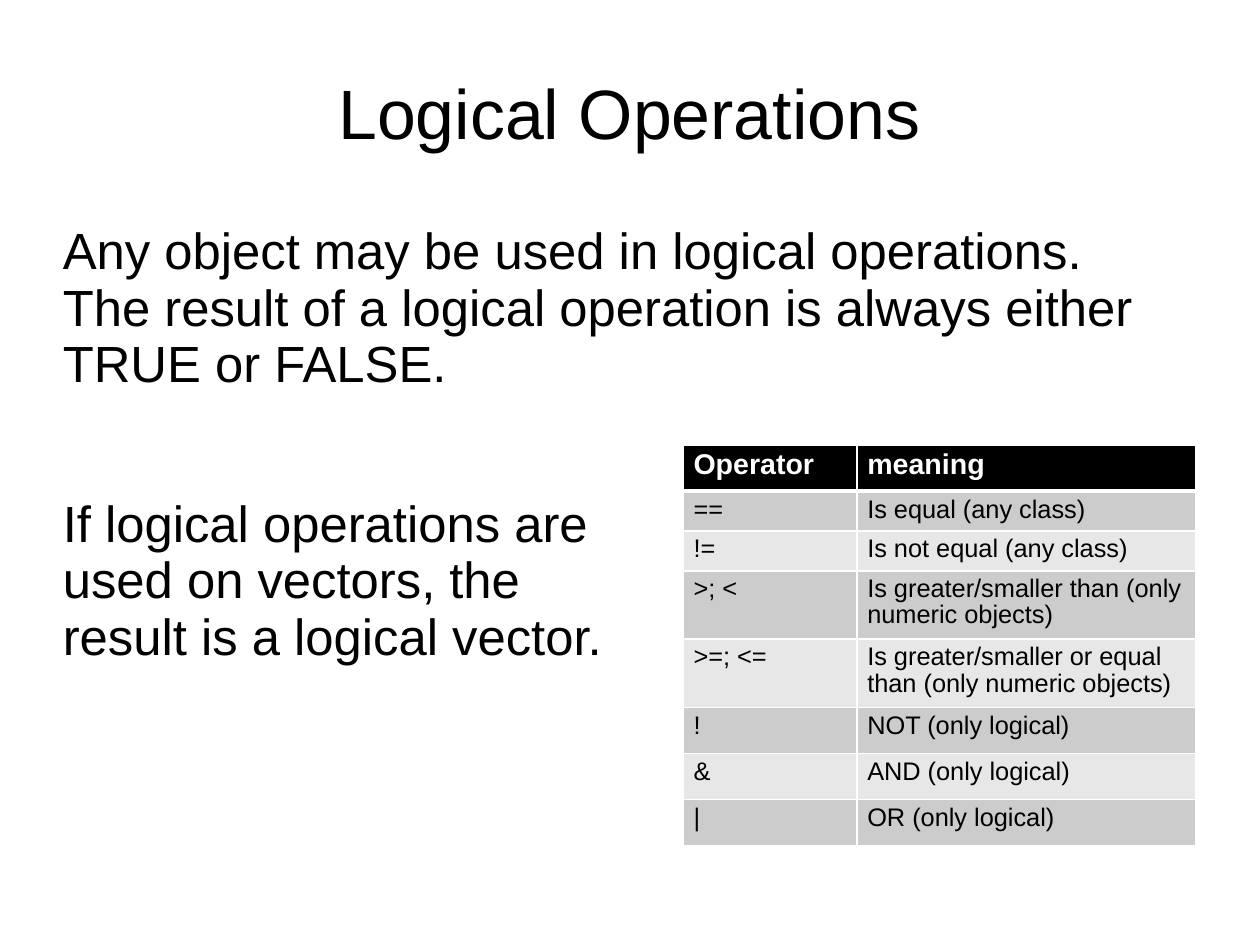
from dataclasses import dataclass

from lxml.etree import SubElement
from pptx import Presentation
from pptx.dml.color import RGBColor
from pptx.enum.text import MSO_ANCHOR, PP_ALIGN
from pptx.oxml.ns import qn
from pptx.util import Pt


@dataclass(frozen=True)
class Theme:
    font: str = "Arial"
    text: str = "000000"
    header_text: str = "FFFFFF"
    header_fill: str = "000000"
    band_fills: tuple = ("CCCCCC", "E7E7E7")
    border: str = "FFFFFF"
    title_size: int = 44
    body_size: int = 32
    header_size: int = 18
    cell_size: int = 16
    line_spacing: float = 0.93


class SlideBuilder:
    def __init__(self, page, theme):
        self.page = page
        self.theme = theme

    def style(self, text_frame, size, color, bold=False, align=PP_ALIGN.LEFT):
        for para in text_frame.paragraphs:
            para.alignment = align
            para.line_spacing = self.theme.line_spacing
            for span in para.runs:
                span.font.name = self.theme.font
                span.font.size = Pt(size)
                span.font.bold = bold
                span.font.color.rgb = RGBColor.from_string(color)

    def text(self, words, left, top, width, height, size,
             align=PP_ALIGN.LEFT, anchor=MSO_ANCHOR.TOP, inset_top=0):
        box = self.page.shapes.add_textbox(Pt(left), Pt(top), Pt(width), Pt(height))
        frame = box.text_frame
        frame.word_wrap = True
        frame.vertical_anchor = anchor
        frame.margin_left = frame.margin_right = frame.margin_bottom = 0
        frame.margin_top = Pt(inset_top)
        frame.text = words
        self.style(frame, size, self.theme.text, align=align)

    def border(self, cell, top, bottom):
        """Draw all four cell edges; top and bottom are widths in points."""
        properties = cell._tc.get_or_add_tcPr()
        for edge, width in (("L", 1), ("R", 1), ("T", top), ("B", bottom)):
            line = SubElement(properties, qn(f"a:ln{edge}"), w=str(Pt(width)))
            fill = SubElement(line, qn("a:solidFill"))
            SubElement(fill, qn("a:srgbClr"), val=self.theme.border)

    def table(self, rows, left, top, widths, heights):
        theme = self.theme
        table = self.page.shapes.add_table(
            len(rows), len(widths), Pt(left), Pt(top),
            Pt(sum(widths)), Pt(sum(heights))).table
        for column, width in zip(table.columns, widths):
            column.width = Pt(width)
        for index, (row, height, words) in enumerate(zip(table.rows, heights, rows)):
            row.height = Pt(height)
            header = index == 0
            fill = theme.header_fill if header else theme.band_fills[(index - 1) % 2]
            color = theme.header_text if header else theme.text
            size = theme.header_size if header else theme.cell_size
            for cell, word in zip(row.cells, words):
                cell.margin_left = cell.margin_right = Pt(6.5)
                cell.margin_top = cell.margin_bottom = Pt(3.6)
                self.border(cell, top=3 if index == 1 else 1, bottom=3 if header else 1)
                cell.fill.solid()
                cell.fill.fore_color.rgb = RGBColor.from_string(fill)
                cell.text_frame.text = word
                self.style(cell.text_frame, size, color, bold=header)


OPERATORS = [
    ("Operator", "meaning"),
    ("==", "Is equal (any class)"),
    ("!=", "Is not equal (any class)"),
    (">; <", "Is greater/smaller than (only numeric objects)"),
    (">=; <=", "Is greater/smaller or equal than (only numeric objects)"),
    ("!", "NOT (only logical)"),
    ("&", "AND (only logical)"),
    ("|", "OR (only logical)"),
]


def main():
    deck = Presentation()
    deck.slide_width, deck.slide_height = Pt(793.75), Pt(595.25)
    page = deck.slides.add_slide(deck.slide_layouts[6])
    theme = Theme()
    builder = SlideBuilder(page, theme)
    margin = 39.6

    builder.text("Logical Operations", margin, 23.6, 714.2, 99.2, theme.title_size,
                 align=PP_ALIGN.CENTER, anchor=MSO_ANCHOR.MIDDLE)
    builder.text("Any object may be used in logical operations. "
                 "The result of a logical operation is always either TRUE or FALSE.",
                 margin, 139, 698.5, 113, theme.body_size, inset_top=2.2)
    builder.text("If logical operations are\vused on vectors, the\v"
                 "result is a logical vector.",
                 margin, 310.8, 360, 113, theme.body_size, inset_top=2.2)
    builder.table(OPERATORS, 430.4, 280.5, widths=(109.5, 213.5),
                  heights=(29, 25, 25, 42.7, 42.7, 29, 29, 29))
    deck.save("out.pptx")


if __name__ == "__main__":
    main()
